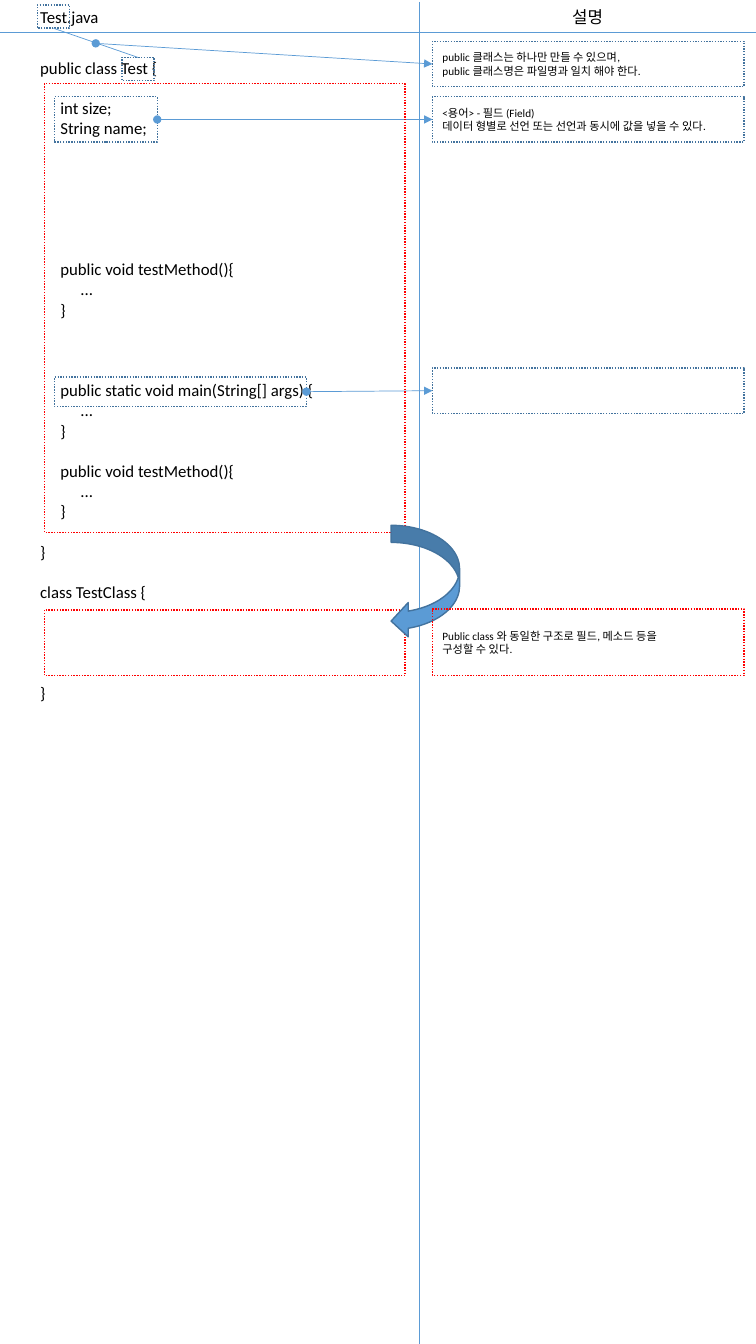
"""Builds a tall slide that explains the structure of a Java source file."""
from pptx import Presentation
from pptx.dml.color import RGBColor
from pptx.enum.dml import MSO_LINE
from pptx.enum.shapes import MSO_CONNECTOR, MSO_SHAPE as SHAPE
from pptx.enum.text import MSO_ANCHOR, MSO_AUTO_SIZE, PP_ALIGN as ALIGN
from pptx.oxml.ns import qn
from pptx.util import Inches, Pt
from lxml.etree import SubElement

BLACK = RGBColor(0x00, 0x00, 0x00)
BLUE = RGBColor(0x5B, 0x9B, 0xD5)
DARK_BLUE = RGBColor(0x43, 0x73, 0x9E)
RED = RGBColor(0xFF, 0x00, 0x00)
FONT = "Calibri"
LINE_PITCH = 14.4
INDENT = 0.2
NOTE_LEFT, NOTE_WIDTH, NOTE_HEIGHT = 4.29, 3.09, 0.45
METHOD_BODY = [(0, 2, "..."), (0, 1, "}")]
TEST_METHOD = [(1, "public void testMethod(){")]

# Each entry: empty lines above, indent level, code
CODE = [
    (0, 0, "public class Test {"),
    (1, 1, "int size;"),
    (0, 1, "String name;"),
    (6, 1, "public void testMethod(){"),
    *METHOD_BODY,
    (3, 1, "public static void main(String[] args) {"),
    *METHOD_BODY,
    (1, 1, "public void testMethod(){"),
    *METHOD_BODY,
    (1, 0, "}"),
    (1, 0, "class TestClass {"),
    (4, 0, "}"),
]


def style(paragraph, size, align=ALIGN.LEFT):
    """Give a paragraph its font and alignment."""
    paragraph.alignment = align
    paragraph.font.name = FONT
    paragraph.font.size = Pt(size)
    paragraph.font.color.rgb = BLACK


def add_text(slide, left, top, width, height, lines, align=ALIGN.LEFT):
    """Add a text box of (empty lines above, indent level, text) entries."""
    box = slide.shapes.add_textbox(*map(Inches, (left, top, width, height)))
    frame = box.text_frame
    frame.word_wrap = True
    frame.auto_size = MSO_AUTO_SIZE.SHAPE_TO_FIT_TEXT
    frame.text = "\n".join(text for _, _, text in lines)
    for paragraph, (gap, level, _) in zip(frame.paragraphs, lines):
        style(paragraph, 12, align)
        paragraph.space_before = Pt(gap * LINE_PITCH)
        properties = paragraph._p.get_or_add_pPr()
        properties.set("marL", str(Inches(level * INDENT)))
        properties.set("indent", "0")


def add_frame(slide, left, top, width, height, color=DARK_BLUE, text=""):
    """Add a dotted, unfilled rectangle with optional small text."""
    box = slide.shapes.add_shape(SHAPE.RECTANGLE, *map(Inches, (left, top, width, height)))
    box.shadow.inherit = False
    box.fill.background()
    box.line.color.rgb = color
    box.line.width = Pt(1)
    box.line.dash_style = MSO_LINE.ROUND_DOT
    if text:
        frame = box.text_frame
        frame.word_wrap = True
        frame.vertical_anchor = MSO_ANCHOR.MIDDLE
        frame.text = text
        for paragraph in frame.paragraphs:
            style(paragraph, 8)
    return box


def add_note(slide, top, text="", height=NOTE_HEIGHT, color=DARK_BLUE):
    """Add an explanation box in the right column."""
    return add_frame(slide, NOTE_LEFT, top, NOTE_WIDTH, height, color, text)


def add_line(slide, start=(0, 0), end=(0, 0), source=None, target=None, pointer=False):
    """Add a thin line between points or (shape, side) joints."""
    line = slide.shapes.add_connector(MSO_CONNECTOR.STRAIGHT, *map(Inches, (*start, *end)))
    if source:
        line.begin_connect(*source)
    if target:
        line.end_connect(*target)
    line.line.color.rgb = BLUE
    line.line.width = Pt(0.5)
    if pointer:
        outline = line.line._get_or_add_ln()
        SubElement(outline, qn("a:headEnd"), type="oval")
        SubElement(outline, qn("a:tailEnd"), type="triangle")
    SubElement(line._element.spPr, qn("a:effectLst"))


def add_curved_arrow(slide):
    """Add the arrow leading from the public class to the second class."""
    arrow = slide.shapes.add_shape(
        SHAPE.CURVED_DOWN_ARROW, *map(Inches, (3.66, 5.43, 1.12, 0.68)))
    arrow.rotation = 90
    arrow.shadow.inherit = False
    arrow.fill.solid()
    arrow.fill.fore_color.rgb = BLUE
    arrow.line.color.rgb = DARK_BLUE
    arrow.line.width = Pt(1)


def main():
    """Build and save the slide."""
    deck = Presentation()
    deck.slide_width, deck.slide_height = Inches(7.5), Inches(13.33)
    slide = deck.slides.add_slide(deck.slide_layouts[6])

    add_text(slide, 0.3, 0.02, 3.85, 0.3, [(0, 0, "Test.java")])
    add_line(slide, (0, 0.32), (7.5, 0.32))
    add_text(slide, 0.3, 0.52, 3.85, 6.57, CODE)
    add_line(slide, (4.16, 0.02), (4.16, 13.33))
    add_text(slide, 4.16, 0.02, 3.34, 0.3, [(0, 0, "설명")], ALIGN.CENTER)

    fields = add_frame(slide, 0.54, 0.96, 1.02, 0.45)
    field_note = add_note(
        slide, 0.96, "<용어> - 필드 (Field)\n데이터 형별로 선언 또는 선언과 동시에 값을 넣을 수 있다.")
    add_line(slide, source=(fields, 3), target=(field_note, 1), pointer=True)

    class_name = add_frame(slide, 1.21, 0.57, 0.32, 0.23)
    file_name = add_frame(slide, 0.37, 0.05, 0.32, 0.23)
    add_line(slide, source=(file_name, 2), target=(class_name, 0))
    name_note = add_note(
        slide, 0.41, "public 클래스는 하나만 만들 수 있으며,\npublic 클래스명은 파일명과 일치 해야 한다.")
    add_line(slide, start=(0.95, 0.43), target=(name_note, 1), pointer=True)

    main_method = add_frame(slide, 0.54, 3.74, 2.5, 0.29)
    main_note = add_note(slide, 3.65)
    add_line(slide, source=(main_method, 3), target=(main_note, 1), pointer=True)

    for top, height in ((0.83, 4.45), (6.05, 0.65)):
        add_frame(slide, 0.44, top, 3.58, height, RED)
    add_curved_arrow(slide)
    add_note(slide, 6.04, "Public class 와 동일한 구조로 필드, 메소드 등을\n구성할 수 있다.", 0.66, RED)

    deck.save("out.pptx")


if __name__ == "__main__":
    main()
